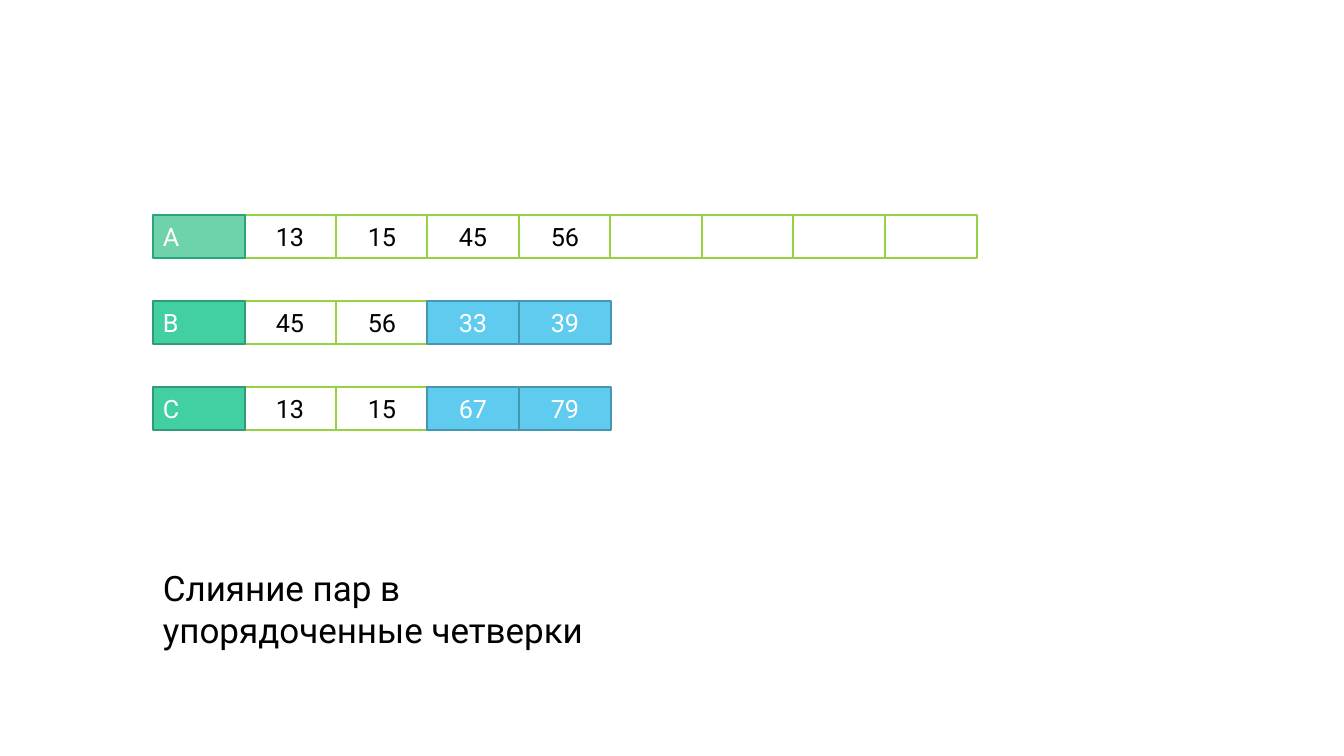
from pptx import Presentation, util as u
from pptx.dml.color import RGBColor
from pptx.enum import shapes, text

PX = 914400 / 100.8
LEFT, TOP, ROW_STEP = 153, 215, 86
TWO_CELLS = 183
CELL_WIDTH, CELL_HEIGHT = 92, 43

EMPTY = ("FFFFFF", "96D141", "000000")
PENDING = ("5FCBEF", "4696B1", "FFFFFF")
TARGET_LABEL = ("6ED2AA", "29A57D", "FFFFFF")
SOURCE_LABEL = ("42D0A2", "319A78", "FFFFFF")

ROWS = [
    ("A", TARGET_LABEL, ["13", "15", "45", "56", "", "", "", ""], []),
    ("B", SOURCE_LABEL, ["45", "56"], ["33", "39"]),
    ("C", SOURCE_LABEL, ["13", "15"], ["67", "79"]),
]


def px(*lengths):
    return [u.Emu(round(length * PX)) for length in lengths]


def color(value):
    return RGBColor.from_string(value)


class Slide:
    font = "Roboto"

    def __init__(self, deck):
        self.page = deck.slides.add_slide(deck.slide_layouts[6])

    def set_text(self, box, words, size, ink, align):
        para = box.text_frame.paragraphs[0]
        para.text = words
        para.alignment = align
        para.font.name = self.font
        para.font.size = u.Pt(size)
        para.font.color.rgb = color(ink)

    def cell(self, column, top, words, style, align=text.PP_ALIGN.CENTER):
        fill, line, ink = style
        left = LEFT + column * TWO_CELLS // 2
        box = self.page.shapes.add_shape(
            shapes.MSO_SHAPE.RECTANGLE, *px(left, top, CELL_WIDTH, CELL_HEIGHT))
        box.shadow.inherit = False
        box.fill.solid()
        box.fill.fore_color.rgb = color(fill)
        box.line.color.rgb = color(line)
        box.line.width = u.Pt(1.5)
        box.text_frame.vertical_anchor = text.MSO_ANCHOR.MIDDLE
        if words:
            self.set_text(box, words, 18, ink, align)

    def array(self, top, name, label_style, merged, pending):
        styled = [(value, EMPTY) for value in merged]
        styled += [(value, PENDING) for value in pending]
        for column, (value, style) in enumerate(styled, 1):
            self.cell(column, top, value, style)
        self.cell(0, top, name, label_style, text.PP_ALIGN.LEFT)

    def caption(self, left, top, width, height, words):
        box = self.page.shapes.add_textbox(*px(left, top, width, height))
        box.text_frame.word_wrap = True
        box.text_frame.auto_size = text.MSO_AUTO_SIZE.SHAPE_TO_FIT_TEXT
        self.set_text(box, words, 25, "000000", text.PP_ALIGN.LEFT)


def main():
    deck = Presentation()
    deck.slide_width, deck.slide_height = px(1344, 756)
    slide = Slide(deck)
    for index, row in enumerate(ROWS):
        slide.array(TOP + index * ROW_STEP, *row)
    slide.caption(LEFT, 562, 502, 95, "Слияние пар в упорядоченные четверки")
    deck.save("out.pptx")


if __name__ == "__main__":
    main()
